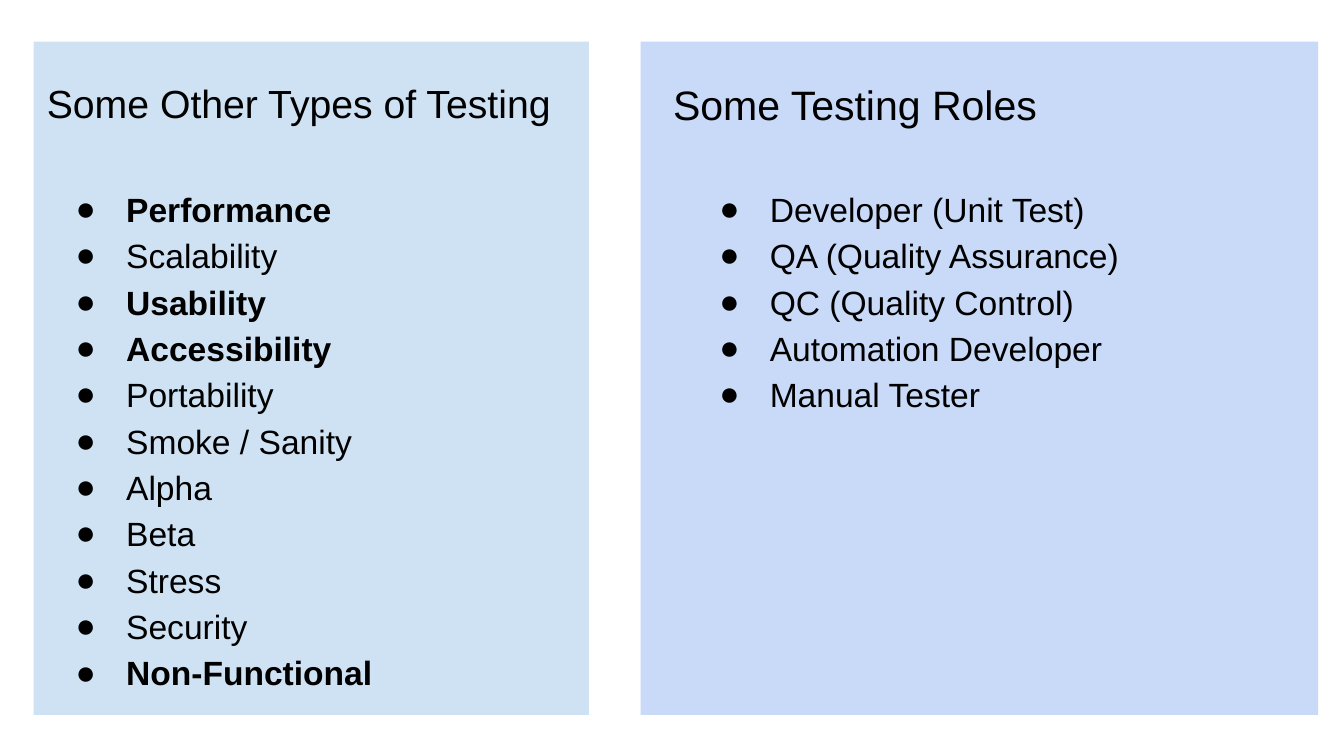
from pptx import Presentation
from pptx.dml.color import RGBColor
from pptx.enum.shapes import MSO_SHAPE as Shape
from pptx.enum.text import MSO_ANCHOR as Anchor
from pptx.oxml.ns import qn
from pptx.util import Pt
from lxml.etree import SubElement


def paint(colour_format, hex_code):
    colour_format.rgb = RGBColor.from_string(hex_code)


def add_text(slide, left, top, width, height, lines, size, bold=(), bullets=False):
    frame = slide.shapes.add_textbox(Pt(left), Pt(top), Pt(width), Pt(height)).text_frame
    frame.word_wrap = True
    frame.vertical_anchor = Anchor.TOP
    frame.margin_left = frame.margin_right = Pt(7.2)
    frame.margin_top = frame.margin_bottom = Pt(7.2)
    frame.text = "\n".join(lines)
    for paragraph in frame.paragraphs:
        if bullets:
            paragraph.line_spacing = 1.15
            properties = paragraph._p.get_or_add_pPr()
            properties.set("marL", str(Pt(36)))
            properties.set("indent", str(-Pt(27)))
            bullet_colour = SubElement(properties, qn("a:buClr"))
            SubElement(bullet_colour, qn("a:srgbClr"), val="000000")
            SubElement(properties, qn("a:buFont"), typeface="Arial")
            SubElement(properties, qn("a:buChar"), char="●")
        paragraph.font.name = "Arial"
        paragraph.font.size = Pt(size)
        paragraph.font.bold = paragraph.text in bold
        paint(paragraph.font.color, "000000")


prs = Presentation()
prs.slide_width, prs.slide_height = Pt(720), Pt(405)
slide = prs.slides.add_slide(prs.slide_layouts[6])

testing_types = ["Performance", "Scalability", "Usability", "Accessibility", "Portability",
                 "Smoke / Sanity", "Alpha", "Beta", "Stress", "Security", "Non-Functional"]
key_types = {"Performance", "Usability", "Accessibility", "Non-Functional"}
testing_roles = ["Developer (Unit Test)", "QA (Quality Assurance)", "QC (Quality Control)",
                 "Automation Developer", "Manual Tester"]

columns = [
    (18, 297.5, "CFE2F3", "Some Other Types of Testing", 18, 21, testing_types, 24.5),
    (343.2, 363, "C9DAF8", "Some Testing Roles", 353.5, 22, testing_roles, 369.3),
]
for left, width, fill, heading, heading_left, heading_size, items, items_left in columns:
    panel = slide.shapes.add_shape(Shape.RECTANGLE, Pt(left), Pt(22.3), Pt(width), Pt(360.7))
    panel.shadow.inherit = False
    panel.fill.solid()
    paint(panel.fill.fore_color, fill)
    panel.line.fill.background()
    add_text(slide, heading_left, 35.3, 325.4, 45.4, [heading], heading_size)
    add_text(slide, items_left, 90.7, 258.5, 269.3, items, 18, key_types, True)

prs.save("out.pptx")
